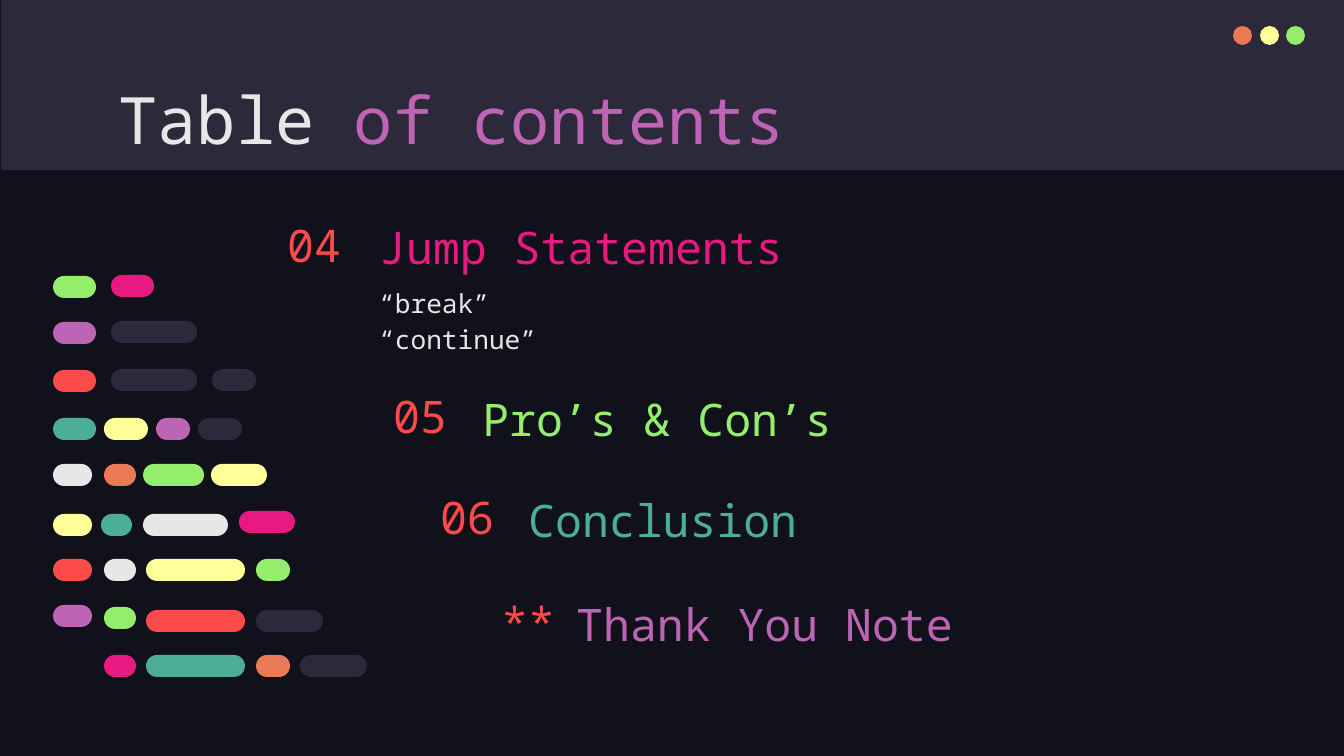
import pptx
import pptx.util
from pptx.dml.color import RGBColor
from pptx.enum.shapes import MSO_SHAPE
from pptx.enum.text import MSO_ANCHOR, MSO_AUTO_SIZE, PP_ALIGN

PX = 914400 / 134.4
FONT = "Noto Sans Mono"
NIGHT = RGBColor(0x10, 0x11, 0x1A)
SLATE = RGBColor(0x2C, 0x29, 0x3A)
WHITE = RGBColor(0xE7, 0xE7, 0xE7)
ORANGE = RGBColor(0xEC, 0x79, 0x55)
YELLOW = RGBColor(0xFF, 0xFF, 0x99)
GREEN = RGBColor(0x94, 0xEE, 0x6B)
PURPLE = RGBColor(0xBD, 0x64, 0xB5)
RED = RGBColor(0xFD, 0x4A, 0x4A)
PINK = RGBColor(0xE8, 0x1A, 0x81)
TEAL = RGBColor(0x4C, 0xAE, 0x97)

prs = pptx.Presentation()
prs.slide_width = round(1344 * PX)
prs.slide_height = round(756 * PX)
s = prs.slides.add_slide(prs.slide_layouts[5])
s.background.fill.solid()
s.background.fill.fore_color.rgb = NIGHT


def add_block(kind, x, y, w, h, color):
    sp = s.shapes.add_shape(kind, *(round(v * PX) for v in (x, y, w, h)))
    sp.shadow.inherit = False
    sp.fill.solid()
    sp.fill.fore_color.rgb = color
    sp.line.fill.background()
    return sp


def set_frame(sp, x, y, w, h, anchor):
    sp.left, sp.top, sp.width, sp.height = (round(v * PX) for v in (x, y, w, h))
    tf = sp.text_frame
    tf.word_wrap = True
    tf.auto_size = MSO_AUTO_SIZE.NONE
    tf.vertical_anchor = anchor
    tf.margin_left = tf.margin_right = tf.margin_top = tf.margin_bottom = pptx.util.Inches(0.1)
    return tf


add_block(MSO_SHAPE.RECTANGLE, 1, 0, 1343, 170, SLATE)
for x, color in [(1233, ORANGE), (1260, YELLOW), (1286, GREEN)]:
    add_block(MSO_SHAPE.OVAL, x, 26, 19, 19, color)

title = s.shapes.title
s.shapes._spTree.append(title._element)
tf = set_frame(title, 105, 66, 1133, 85, MSO_ANCHOR.TOP)
p = tf.paragraphs[0]
p.alignment = PP_ALIGN.LEFT
p.font.size = pptx.util.Pt(35)
p.font.name = FONT
for text, color in [("Table ", WHITE), ("of contents", PURPLE)]:
    r = p.add_run()
    r.text = text
    r.font.color.rgb = color

MIDDLE, BOTTOM = MSO_ANCHOR.MIDDLE, MSO_ANCHOR.BOTTOM
texts = [
    ("04", 274, 216, 89, 58, MIDDLE, 24, 1, RED),
    ("Jump Statements", 366, 216, 618, 71, BOTTOM, 24, 1.15, PINK),
    ("“break”\n“continue”", 366, 269, 618, 85, MSO_ANCHOR.TOP, 14, 1.15, WHITE),
    ("05", 380, 387, 89, 58, MIDDLE, 24, 1, RED),
    ("Pro’s & Con’s", 469, 388, 618, 71, BOTTOM, 24, 1.15, GREEN),
    ("06", 427, 493, 89, 48, MIDDLE, 24, 1, RED),
    ("Conclusion", 515, 489, 618, 71, BOTTOM, 24, 1.15, TEAL),
    ("**", 488, 598, 89, 48, MIDDLE, 24, 1, RED),
    ("Thank You Note", 563, 593, 410, 71, BOTTOM, 24, 1.15, PURPLE),
]
for text, x, y, w, h, anchor, size, spacing, color in texts:
    tf = set_frame(s.shapes.add_textbox(0, 0, 0, 0), x, y, w, h, anchor)
    tf.text = text
    for p in tf.paragraphs:
        p.line_spacing = spacing
        p.font.size = pptx.util.Pt(size)
        p.font.name = FONT
        p.font.color.rgb = color

code_lines = [
    [(53, 276, 43, GREEN), (111, 275, 43, PINK)],
    [(53, 322, 43, PURPLE), (111, 321, 86, SLATE)],
    [(53, 370, 43, RED), (111, 369, 86, SLATE), (212, 369, 44, SLATE)],
    [(53, 418, 43, TEAL), (104, 418, 44, YELLOW), (156, 418, 34, PURPLE), (198, 418, 44, SLATE)],
    [(53, 464, 39, WHITE), (104, 464, 32, ORANGE), (143, 464, 61, GREEN), (211, 464, 56, YELLOW)],
    [(53, 514, 39, YELLOW), (101, 514, 31, TEAL), (143, 514, 85, WHITE), (239, 511, 56, PINK)],
    [(53, 559, 39, RED), (104, 559, 32, WHITE), (146, 559, 99, YELLOW), (256, 559, 34, GREEN)],
    [(53, 605, 39, PURPLE), (104, 607, 32, GREEN), (146, 610, 99, RED), (256, 610, 67, SLATE)],
    [(104, 655, 32, PINK), (146, 655, 99, TEAL), (256, 655, 34, ORANGE), (300, 655, 67, SLATE)],
]
for line in code_lines:
    for x, y, w, color in line:
        pill = add_block(MSO_SHAPE.ROUNDED_RECTANGLE, x, y, w, 22, color)
        pill.adjustments[0] = 0.5

prs.save("out.pptx")
